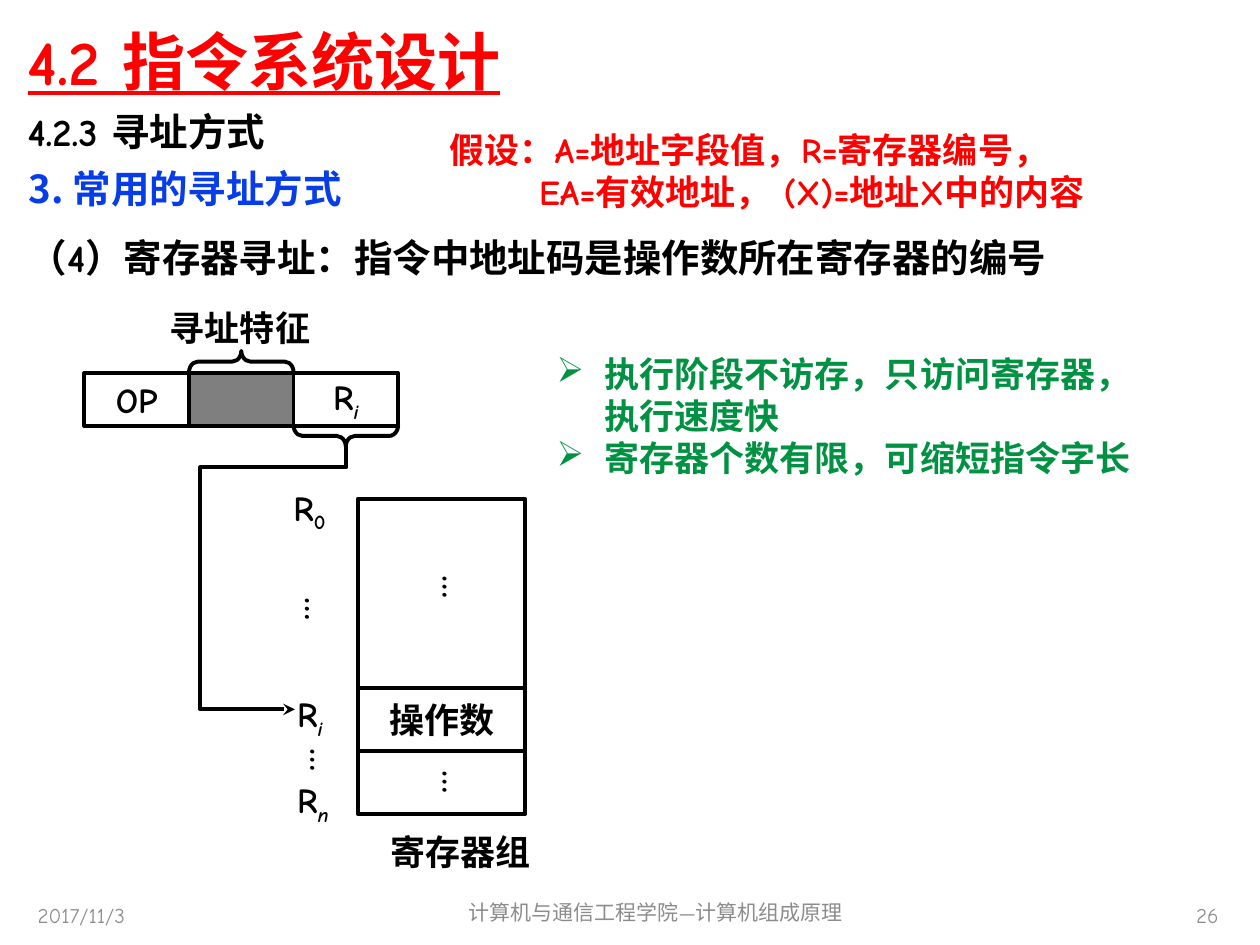
from lxml.etree import SubElement
from pptx import Presentation
from pptx.dml.color import RGBColor
from pptx.enum.shapes import MSO_SHAPE as Preset
from pptx.enum.text import MSO_ANCHOR as Anchor, MSO_AUTO_SIZE as AutoSize, PP_ALIGN as Align
from pptx.oxml.ns import qn
from pptx.util import Inches, Pt

THEME = {
    "font": "Comic Neue", "cjk": "Noto Sans CJK SC",
    "black": "000000", "red": "FF0000", "blue": "063DE8", "green": "009242", "gray": "8C8C8C",
    "title": 36, "heading": 22, "body": 20, "footer": 12, "line": 2.25,
}

HEADINGS = [
    ("4.2 指令系统设计", (0.12, 0.05, 9.69, 0.85),
     {"size": "title", "color": "red", "underline": True, "anchor": Anchor.MIDDLE}),
    ("4.2.3 寻址方式", (0.12, 0.81, 9.69, 0.57), {"size": "heading"}),
    ("3. 常用的寻址方式", (0.13, 1.31, 9.69, 0.55),
     {"size": "heading", "color": "blue", "font": "cjk", "spacing": 0.87}),
    ("（4）寄存器寻址：指令中地址码是操作数所在寄存器的编号", (0.13, 1.81, 9.53, 0.47),
     {"size": "heading", "grow": True}),
]
FOOTERS = [
    ("计算机与通信工程学院—计算机组成原理", (3.35, 7.04, 3.71, 0.4), Align.CENTER),
    ("26", (7.44, 7.06, 2.33, 0.4), Align.RIGHT),
    ("2017/11/3", (0.2, 7.06, 2.33, 0.4), Align.LEFT),
]
BENEFITS = ["执行阶段不访存，只访问寄存器，执行速度快", "寄存器个数有限，可缩短指令字长"]
ASSUMPTIONS = ["假设：A=地址字段值，R=寄存器编号，", "EA=有效地址， (X)=地址X中的内容"]

FIELDS = ["OP", "", ("R", "i")]
FIELD_LEFT, FIELD_TOP, FIELD_WIDTH, FIELD_HEIGHT = 0.67, 2.96, 0.83, 0.42
REGISTERS = [("", 1.5), ("操作数", 0.5), ("", 0.5)]
BANK_LEFT, BANK_TOP, BANK_WIDTH = 2.84, 3.96, 1.33
REGISTER_NAMES = [(("R", "0"), 2.23, 3.81, 0.51), (("R", "i"), 2.26, 5.45, 0.43),
                  (("R", "n"), 2.26, 6.13, 0.48)]
ELLIPSES = [(3.3, 4.47), (3.3, 6.02), (2.21, 4.64), (2.25, 5.84)]
BRACES = [(1, 2.87, 90), (2, 3.46, 270)]
BRACE_DEPTH = 0.17
ROUTE = [(2.75, 3.55), (2.75, 3.71), (1.59, 3.71), (1.59, 5.63), (2.34, 5.63)]


def rgb(name):
    return RGBColor.from_string(THEME[name])


def apply(target, values):
    for name, value in values.items():
        setattr(target, name, value)


def write(shape, lines, size="body", color="black", font="font", bold=True, underline=None,
          anchor=Anchor.TOP, align=Align.LEFT, wrap=True, grow=False, vertical=False,
          spacing=None, bullet=None, indents=None, insets=None):
    frame = shape.text_frame
    apply(frame, {"word_wrap": wrap, "vertical_anchor": anchor,
                  "auto_size": AutoSize.SHAPE_TO_FIT_TEXT if grow else AutoSize.NONE})
    if insets:
        apply(frame, {f"margin_{side}": Inches(gap)
                      for side, gap in zip(("left", "top", "right", "bottom"), insets)})
    if vertical:
        frame._txBody.bodyPr.set("vert", "eaVert")
    for index, line in enumerate(lines):
        para = frame.add_paragraph() if index else frame.paragraphs[0]
        apply(para, {"alignment": align, "line_spacing": spacing})
        props = para._p.get_or_add_pPr()
        if indents:
            margin, first = indents[index]
            props.set("marL", str(Inches(margin)))
            props.set("indent", str(Inches(first)))
        if bullet:
            SubElement(props, qn("a:buChar"), char=bullet)
        spans = (line,) if isinstance(line, str) else line
        for position, text in enumerate(spans):
            span = para.add_run()
            span.text = text
            apply(span.font, {"size": Pt(THEME[size]), "bold": bold, "underline": underline,
                              "name": THEME[font]})
            span.font.color.rgb = rgb(color)
            run_props = span._r.get_or_add_rPr()
            SubElement(run_props, qn("a:ea"), typeface=THEME[font])
            if position:
                run_props.set("baseline", "-25000")
                span.font.italic = text.isalpha()


def add_text(shapes, lines, place, **style):
    box = shapes.add_textbox(*map(Inches, place))
    write(box, lines, **style)


def outline(shape):
    shape.shadow.inherit = False
    shape.fill.background()
    shape.line.color.rgb = rgb("black")
    shape.line.width = Pt(THEME["line"])


def add_outlined(shapes, preset, place):
    shape = shapes.add_shape(preset, *map(Inches, place))
    outline(shape)
    return shape


def add_cell(shapes, place, label):
    cell = add_outlined(shapes, Preset.RECTANGLE, place)
    if label:
        write(cell, [label], anchor=Anchor.MIDDLE, align=Align.CENTER, wrap=False)
    return cell


def draw_instruction(page):
    group = page.shapes.add_group_shape().shapes
    for index, label in enumerate(FIELDS):
        left = FIELD_LEFT + index * FIELD_WIDTH
        cell = add_cell(group, (left, FIELD_TOP, FIELD_WIDTH, FIELD_HEIGHT), label)
        if not label:
            cell.fill.solid()
            cell.fill.fore_color.rgb = rgb("black")
            color = cell._element.spPr.find(qn("a:solidFill"))[0]
            SubElement(color, qn("a:alpha"), val="50000")
    for index, middle, rotation in BRACES:
        center = FIELD_LEFT + (index + 0.5) * FIELD_WIDTH
        place = (center - BRACE_DEPTH / 2, middle - FIELD_WIDTH / 2, BRACE_DEPTH, FIELD_WIDTH)
        brace = add_outlined(page.shapes, Preset.LEFT_BRACE, place)
        brace.rotation = rotation
        brace.adjustments[0] = 0.42
    add_text(page.shapes, ["寻址特征"], (1.25, 2.38, 1.32, 0.43), wrap=False, grow=True)


def draw_route(page):
    points = [(Inches(x), Inches(y)) for x, y in ROUTE]
    builder = page.shapes.build_freeform(*points[0])
    builder.add_line_segments(points[1:], close=False)
    route = builder.convert_to_shape()
    outline(route)
    SubElement(route.line._get_or_add_ln(), qn("a:tailEnd"), type="stealth")


def draw_registers(page):
    group = page.shapes.add_group_shape().shapes
    top = BANK_TOP
    for label, height in REGISTERS:
        add_cell(group, (BANK_LEFT, top, BANK_WIDTH, height), label)
        top += height
    for left, top in ELLIPSES:
        add_text(group, ["…"], (left, top, 0.54, 0.29), vertical=True, wrap=False, grow=True)
    for name, left, top, width in REGISTER_NAMES:
        add_text(group, [name], (left, top, width, 0.44), wrap=False, grow=True)
    add_text(group, ["寄存器组"], (3, 6.54, 1.33, 0.43), grow=True)


def main():
    deck = Presentation()
    apply(deck, {"slide_width": Inches(10), "slide_height": Inches(7.5)})
    page = deck.slides.add_slide(deck.slide_layouts[6])
    for text, place, style in HEADINGS:
        add_text(page.shapes, [text], place, **style)
    for text, place, align in FOOTERS:
        add_text(page.shapes, [text], place, size="footer", color="gray", bold=False,
                 anchor=Anchor.MIDDLE, align=align)
    add_text(page.shapes, BENEFITS, (4.32, 2.75, 4.77, 1.11), color="green", grow=True,
             bullet="➢", indents=[(0.38, -0.38)] * len(BENEFITS))
    draw_instruction(page)
    draw_route(page)
    draw_registers(page)
    add_text(page.shapes, ASSUMPTIONS, (3.5, 0.99, 6.16, 0.73), color="red", grow=True,
             indents=[(0, 0), (0.71, 0)], insets=(0.07, 0.03, 0.07, 0.03))
    deck.save("out.pptx")


if __name__ == "__main__":
    main()
